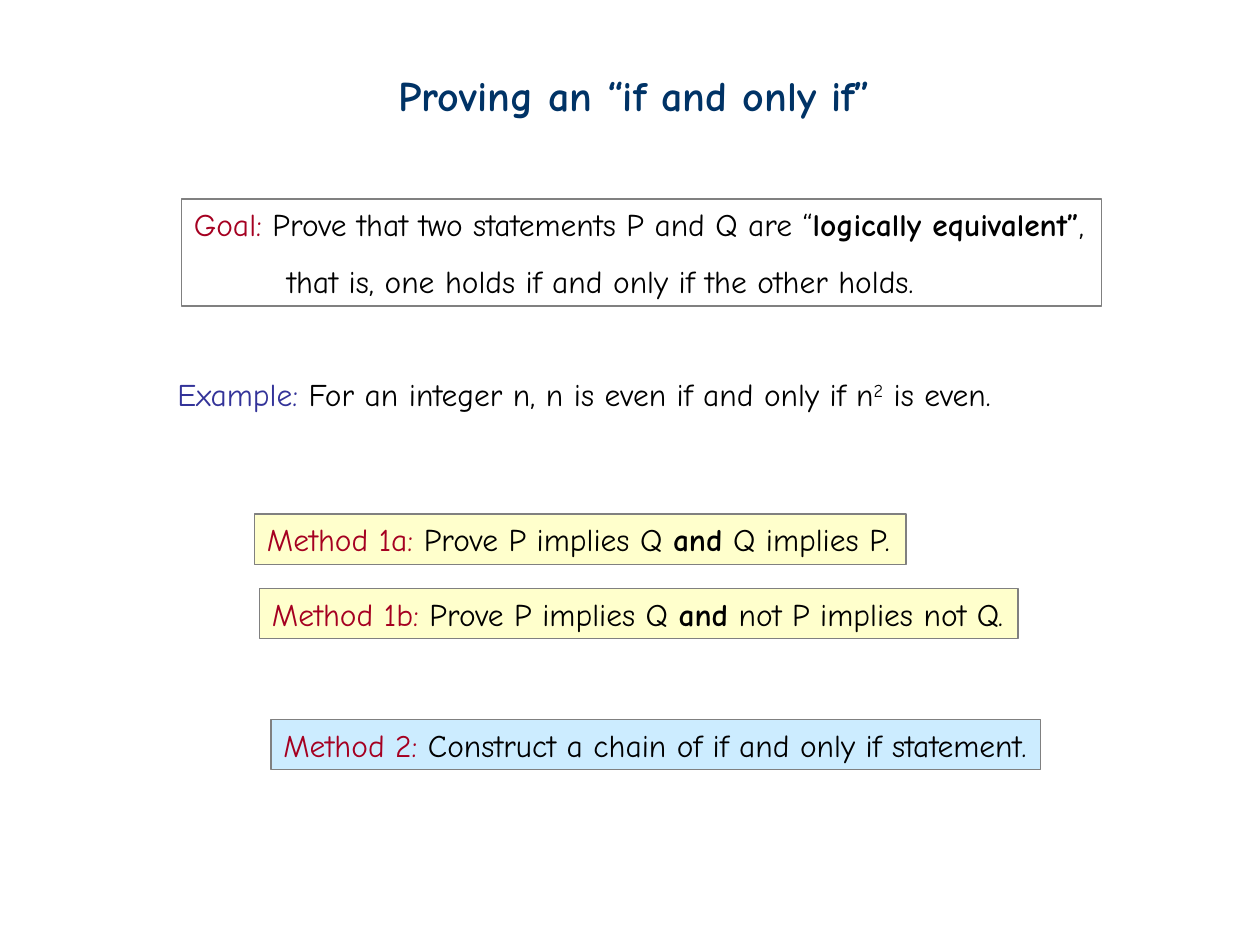
from pptx import Presentation
from pptx.dml.color import RGBColor
from pptx.enum.shapes import MSO_SHAPE
from pptx.enum.text import MSO_ANCHOR, PP_ALIGN
from pptx.util import Inches, Pt

NAVY = RGBColor(0x00, 0x33, 0x66)
RED = RGBColor(0xA5, 0x00, 0x21)
BLUE = RGBColor(0x33, 0x33, 0x99)
BLACK = RGBColor(0x00, 0x00, 0x00)
GRAY = RGBColor(0x80, 0x80, 0x80)
CREAM = RGBColor(0xFF, 0xFF, 0xCC)
SKY = RGBColor(0xCC, 0xEC, 0xFF)

COLS, ROWS = 100, 75


class Deck:
    face = "Comic Neue"
    size = Pt(18)

    def __init__(self):
        self.show = Presentation()
        self.show.slide_width = Inches(10)
        self.show.slide_height = Inches(7.5)
        self.slide = self.show.slides.add_slide(self.show.slide_layouts[5])

    def area(self, col, row, wide, high):
        unit_x = self.show.slide_width / COLS
        unit_y = self.show.slide_height / ROWS
        return [round(n) for n in (col * unit_x, row * unit_y, wide * unit_x, high * unit_y)]

    def style(self, para, size, color):
        para.font.name = self.face
        para.font.size = size
        para.font.color.rgb = color

    def title(self, text, *spot):
        shape = self.slide.shapes.title
        shape.left, shape.top, shape.width, shape.height = self.area(*spot)
        frame = shape.text_frame
        frame.text = text
        frame.word_wrap = False
        frame.vertical_anchor = MSO_ANCHOR.MIDDLE
        para = frame.paragraphs[0]
        para.alignment = PP_ALIGN.CENTER
        self.style(para, Pt(24), NAVY)
        para.font.bold = True

    def fill_text(self, frame, label, color, *parts):
        frame.word_wrap = False
        frame.vertical_anchor = MSO_ANCHOR.TOP
        para = frame.paragraphs[0]
        para.alignment = PP_ALIGN.LEFT
        self.style(para, self.size, BLACK)
        head = para.add_run()
        head.text = label
        head.font.color.rgb = color
        for text, look in parts:
            run = para.add_run()
            run.text = text
            if look == "bold":
                run.font.bold = True
            elif look == "super":
                run._r.get_or_add_rPr().set("baseline", "30000")

    def note(self, spot, label, *parts):
        frame = self.slide.shapes.add_textbox(*self.area(*spot)).text_frame
        self.fill_text(frame, label, BLUE, *parts)

    def box(self, spot, fill, label, *parts):
        shape = self.slide.shapes.add_shape(MSO_SHAPE.RECTANGLE, *self.area(*spot))
        shape.shadow.inherit = False
        if fill is None:
            shape.fill.background()
        else:
            shape.fill.solid()
            shape.fill.fore_color.rgb = fill
        shape.line.color.rgb = GRAY
        shape.line.width = Pt(0.75)
        self.fill_text(shape.text_frame, label, RED, *parts)
        return shape.text_frame

    def follow(self, frame, text, indent):
        para = frame.add_paragraph()
        para.text = text
        para.alignment = PP_ALIGN.LEFT
        para.line_spacing = 1.5
        para._p.get_or_add_pPr().set("marL", str(Inches(indent)))
        self.style(para, self.size, BLACK)


def main():
    deck = Deck()
    deck.title("Proving an “if and only if”", 30.6, 5, 39.5, 5)
    goal = deck.box((14.4, 15.8, 73, 8.5), None, "Goal:",
                    (" Prove that two statements P and Q are “", None),
                    ("logically equivalent”", "bold"), (",", None))
    deck.follow(goal, "that is, one holds if and only if the other holds.", 0.74)
    deck.note((13.1, 29.3, 66.9, 4), "Example:",
              (" For an integer n, n is even if and only if n", None),
              ("2", "super"), (" is even.", None))
    pairs = [
        ((20.2, 40.8, 51.7, 4), "Method 1a:", " Q implies P."),
        ((20.6, 46.7, 60.2, 4), "Method 1b:", " not P implies not Q."),
    ]
    for spot, label, end in pairs:
        deck.box(spot, CREAM, label, (" Prove P implies Q ", None),
                 ("and", "bold"), (end, None))
    deck.box((21.5, 57.1, 61.1, 4), SKY, "Method 2:",
             (" Construct a chain of if and only if statement.", None))
    deck.show.save("out.pptx")


if __name__ == "__main__":
    main()
